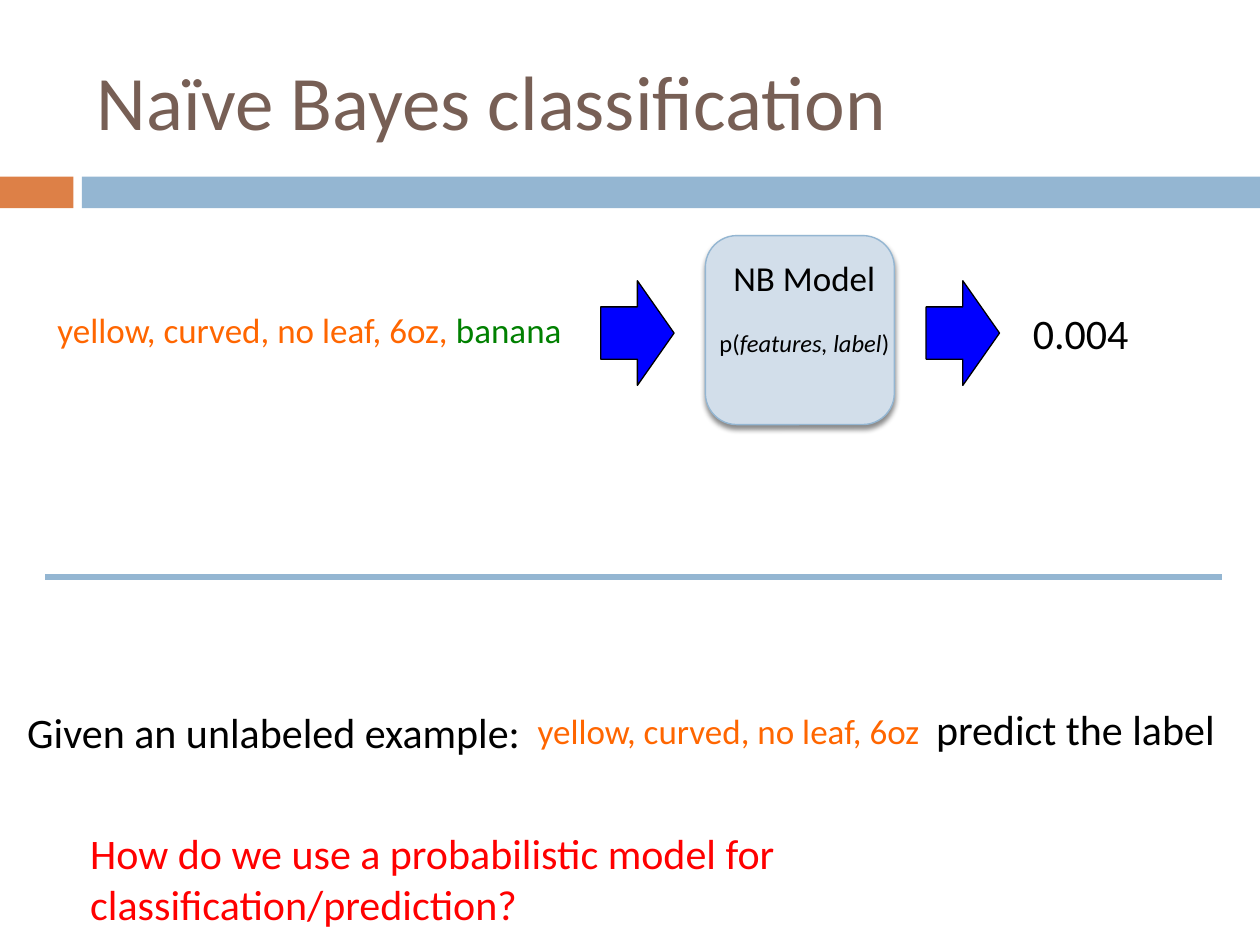
from lxml.etree import SubElement
from pptx import Presentation
from pptx.dml.color import RGBColor
from pptx.enum.shapes import MSO_CONNECTOR, MSO_SHAPE
from pptx.enum.text import MSO_ANCHOR, PP_ALIGN
from pptx.oxml.ns import qn
from pptx.util import Cm, Pt

COLORS = {
    "title": "775F55", "accent": "DD8047", "band": "94B6D2", "model": "D2DEEA",
    "feature": "FF6600", "label": "008000", "arrow": "0000FF",
    "question": "FF0000", "text": "000000",
}
TITLE = "Naïve Bayes classification"
MODEL_LINES = [
    (20, 0, [("NB Model", False)]),
    (14, 17, [("p(", False), ("features, label", True), (")", False)]),
]
TEXTS = [
    ((0.91, 6.1, 10.8, 1.12), 20, False,
     [("yellow, curved, no leaf, 6oz, ", "feature"), ("banana", "label")]),
    ((20.57, 6.07, 2.59, 1.27), 24, False, [("0.004", "text")]),
    ((1.57, 16.56, 22.76, 2.2), 24, True,
     [("How do we use a probabilistic model for classification/prediction?", "question")]),
    ((0.3, 14.12, 10.62, 1.27), 24, False, [("Given an unlabeled example:", "text")]),
    ((10.59, 14.17, 8.28, 1.12), 20, False, [("yellow, curved, no leaf, 6oz", "feature")]),
    ((18.62, 14.05, 6.17, 1.27), 24, False, [("predict the label", "text")]),
]
BANDS = [(0, 1.48, "accent"), (1.65, 23.75, "band")]
ARROW_LEFTS = [12.11, 18.67]


def color(key):
    return RGBColor.from_string(COLORS[key])


def add_block(slide, preset, box, fill, outline=None, weight=0.75):
    block = slide.shapes.add_shape(preset, *map(Cm, box))
    block.shadow.inherit = False
    block.fill.solid()
    block.fill.fore_color.rgb = color(fill)
    if outline:
        block.line.color.rgb = color(outline)
        block.line.width = Pt(weight)
    else:
        block.line.fill.background()
    return block


def add_frame(slide, box, wrap):
    frame = slide.shapes.add_textbox(*map(Cm, box)).text_frame
    frame.word_wrap = wrap
    return frame


def add_run(paragraph, words, size, key, italic=False):
    run = paragraph.add_run()
    run.text = words
    font_format = {"name": "Calibri", "size": Pt(size), "italic": italic}
    for attribute, value in font_format.items():
        setattr(run.font, attribute, value)
    run.font.color.rgb = color(key)


def add_soft_shadow(block):
    effects = block._element.spPr.find(qn("a:effectLst"))
    shadow = SubElement(effects, qn("a:outerShdw"), blurRad=str(Pt(3)),
                        dist=str(Pt(2.4)), dir="5400000", rotWithShape="0")
    black = SubElement(shadow, qn("a:srgbClr"), val=COLORS["text"])
    SubElement(black, qn("a:alpha"), val="45000")


def main():
    deck = Presentation()
    deck.slide_width, deck.slide_height = Cm(25.4), Cm(19.05)
    slide = deck.slides.add_slide(deck.slide_layouts[5])

    for left, width, fill in BANDS:
        add_block(slide, MSO_SHAPE.RECTANGLE, (left, 3.56, width, 0.64), fill)

    title = slide.shapes.title
    title_place = {"left": 1.7, "top": 0.64, "width": 22.66, "height": 2.74}
    for attribute, value in title_place.items():
        setattr(title, attribute, Cm(value))
    title.text_frame.vertical_anchor = MSO_ANCHOR.MIDDLE
    heading = title.text_frame.paragraphs[0]
    heading.alignment = PP_ALIGN.LEFT
    add_run(heading, TITLE, 44, "title")

    model = add_block(slide, MSO_SHAPE.ROUNDED_RECTANGLE,
                      (14.22, 4.75, 3.81, 3.81), "model", "band", 0.79)
    add_soft_shadow(model)
    model_frame = add_frame(slide, (14.22, 5.05, 3.99, 2.31), True)
    for index, (size, gap, pieces) in enumerate(MODEL_LINES):
        line = model_frame.add_paragraph() if index else model_frame.paragraphs[0]
        line.alignment = PP_ALIGN.CENTER
        if gap:
            line.space_before = Pt(gap)
        for words, italic in pieces:
            add_run(line, words, size, "text", italic)

    for left in ARROW_LEFTS:
        add_block(slide, MSO_SHAPE.RIGHT_ARROW, (left, 5.66, 1.48, 2.11), "arrow", "text")

    divider = slide.shapes.add_connector(
        MSO_CONNECTOR.STRAIGHT, *map(Cm, (0.91, 11.63, 24.64, 11.63)))
    divider.line.color.rgb = color("band")
    divider.line.width = Pt(3)
    SubElement(divider._element.spPr, qn("a:effectLst"))

    for box, size, wrap, pieces in TEXTS:
        paragraph = add_frame(slide, box, wrap).paragraphs[0]
        for words, key in pieces:
            add_run(paragraph, words, size, key)

    deck.save("out.pptx")


if __name__ == "__main__":
    main()
